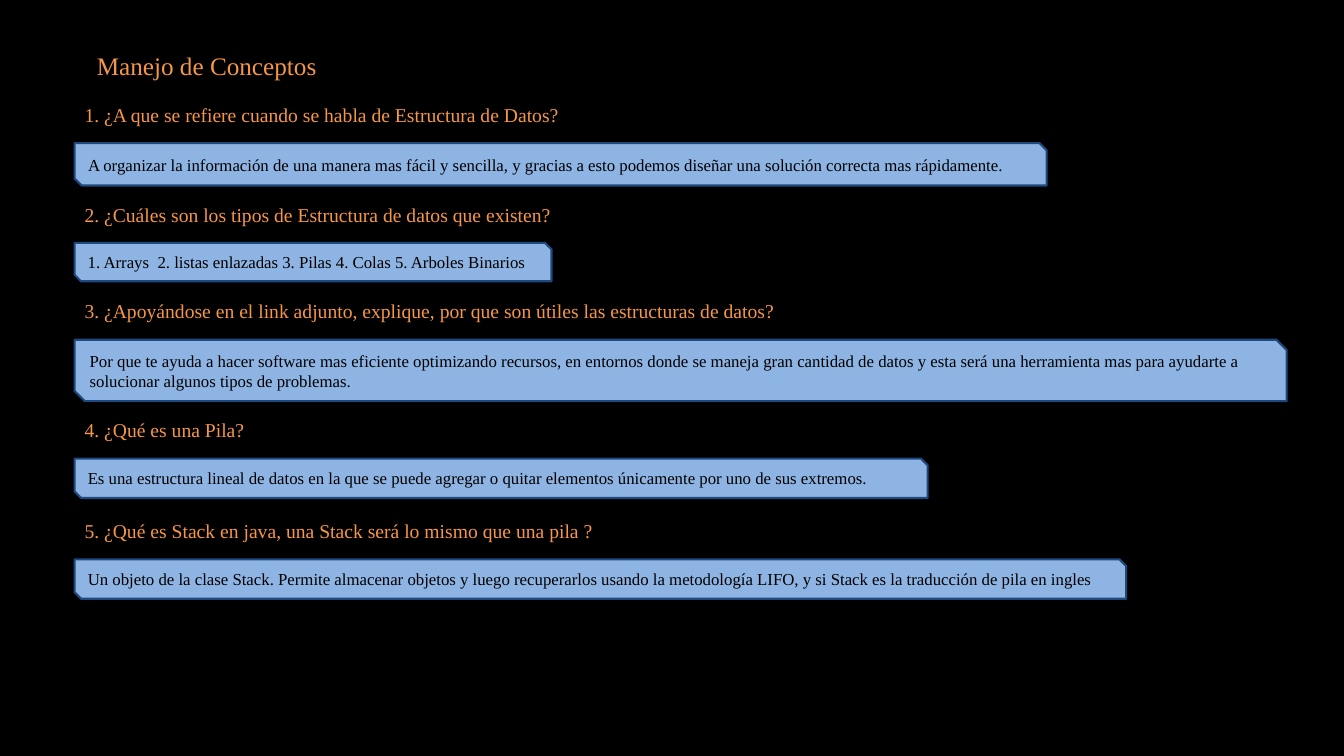
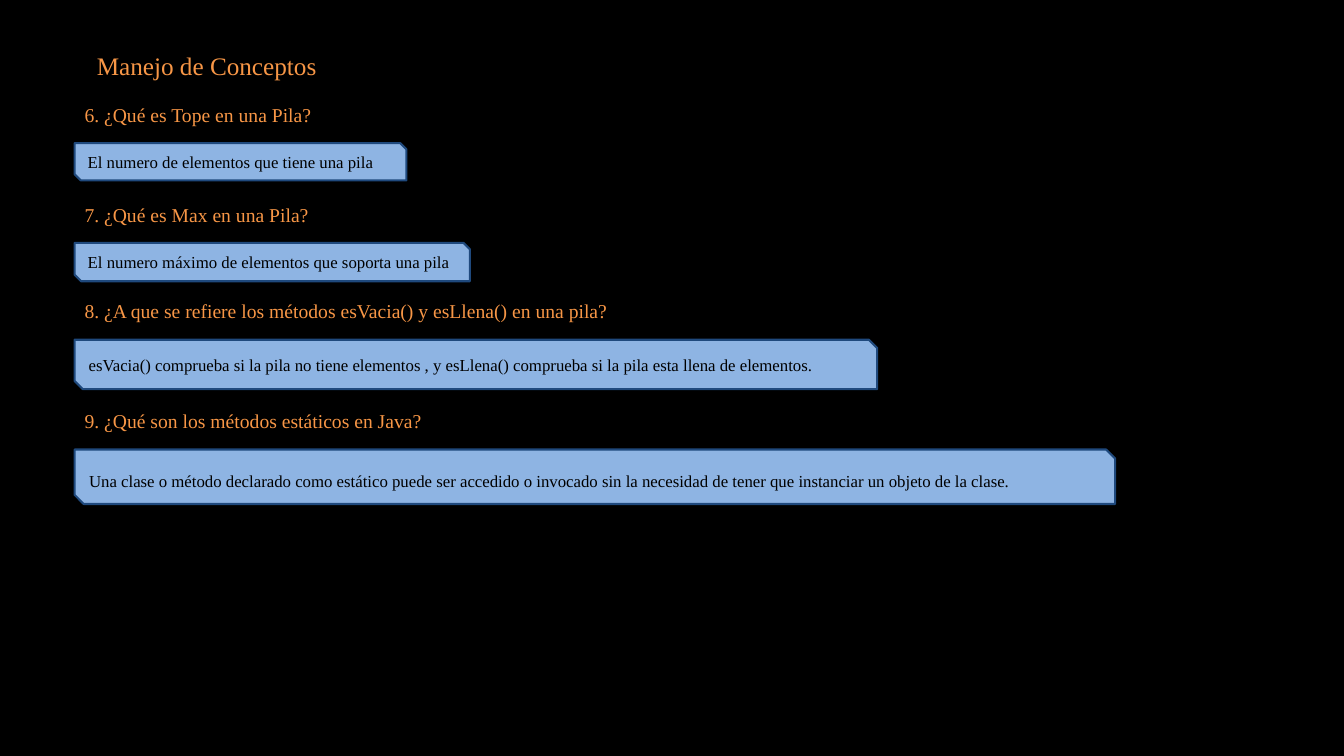
"""Build two slides of questions and answers about data structures."""
from pptx import Presentation
from pptx.dml.color import RGBColor
from pptx.enum import shapes, text
from pptx.util import Inches, Pt

BLACK = RGBColor(0x00, 0x00, 0x00)
ORANGE = RGBColor(0xF7, 0x96, 0x46)
LIGHT_BLUE = RGBColor(0x8E, 0xB4, 0xE3)
NAVY = RGBColor(0x1F, 0x49, 0x7D)
FONT = "Times New Roman"
TITLE = "Manejo de Conceptos"
LEFT = 0.74
QUESTION_HEIGHT = 0.35
ANSWER_OFFSET = 0.45
INSET = 0.05

# Each row: top, question width, question, answer width, answer height, answer, extra top inset
SLIDES = [
    [
        (0.97, 5.93, "1. ¿A que se refiere cuando se habla de Estructura de Datos?",
         9.64, 0.42, "A organizar la información de una manera mas fácil y sencilla, y gracias a esto "
         "podemos diseñar una solución correcta mas rápidamente.", 0),
        (1.96, 5.93, "2. ¿Cuáles son los tipos de Estructura de datos que existen?",
         4.73, 0.38, "1. Arrays  2. listas enlazadas 3. Pilas 4. Colas 5. Arboles Binarios", 0),
        (2.92, 7.64, "3. ¿Apoyándose en el link adjunto, explique, por que son útiles las "
         "estructuras de datos?",
         12.02, 0.61, "Por que te ayuda a hacer software mas eficiente optimizando recursos, en "
         "entornos donde se maneja gran cantidad de datos y esta será una herramienta mas para "
         "ayudarte a solucionar algunos tipos de problemas.", 0),
        (4.1, 2.39, "4. ¿Qué es una Pila?",
         8.46, 0.39, "Es una estructura lineal de datos en la que se puede agregar o quitar "
         "elementos únicamente por uno de sus extremos.", 0),
        (5.1, 5.84, "5. ¿Qué es Stack en java, una Stack será lo mismo que una pila ?",
         10.43, 0.39, "Un objeto de la clase Stack. Permite almacenar objetos y luego recuperarlos "
         "usando la metodología LIFO, y si Stack es la traducción de pila en ingles", 0),
    ],
    [
        (0.97, 5.93, "6. ¿Qué es Tope en una Pila?",
         3.29, 0.37, "El numero de elementos que tiene una pila", 0),
        (1.96, 5.93, "7. ¿Qué es Max en una Pila?",
         3.92, 0.38, "El numero máximo de elementos que soporta una pila", 0),
        (2.92, 7.64, "8. ¿A que se refiere los métodos esVacia() y esLlena() en una pila?",
         7.96, 0.49, "esVacia() comprueba si la pila no tiene elementos , y esLlena() comprueba si "
         "la pila esta llena de elementos.", 0),
        (4.01, 3.65, "9. ¿Qué son los métodos estáticos en Java?",
         10.32, 0.54, "Una clase o método declarado como estático puede ser accedido o invocado sin "
         "la necesidad de tener que instanciar un objeto de la clase.", 0.07),
    ],
]


def write(frame, wording, size, color, anchor):
    """Fill a text frame with one left-aligned paragraph."""
    frame.word_wrap = True
    frame.auto_size = text.MSO_AUTO_SIZE.NONE
    frame.vertical_anchor = anchor
    paragraph = frame.paragraphs[0]
    paragraph.text = wording
    paragraph.alignment = text.PP_ALIGN.LEFT
    paragraph.font.name = FONT
    paragraph.font.size = Pt(size)
    paragraph.font.color.rgb = color


def add_title(slide):
    """Place the shared heading in the title placeholder."""
    title = slide.shapes.title
    title.left, title.top = Inches(0.86), Inches(0.45)
    title.width, title.height = Inches(2.85), Inches(0.4)
    write(title.text_frame, TITLE, 18, ORANGE, text.MSO_ANCHOR.TOP)


def add_question(slide, top, width, wording):
    """Add an orange question line."""
    question = slide.shapes.add_textbox(
        Inches(LEFT), Inches(top), Inches(width), Inches(QUESTION_HEIGHT))
    write(question.text_frame, wording, 14, ORANGE, text.MSO_ANCHOR.TOP)


def add_answer(slide, top, width, height, wording, extra_inset):
    """Add a blue answer box with two snipped corners."""
    answer = slide.shapes.add_shape(
        shapes.MSO_SHAPE.SNIP_2_DIAG_RECTANGLE,
        Inches(LEFT), Inches(top), Inches(width), Inches(height))
    answer.shadow.inherit = False
    answer.fill.solid()
    answer.fill.fore_color.rgb = LIGHT_BLUE
    answer.line.color.rgb = NAVY
    answer.line.width = Pt(1.5)
    answer.text_frame.margin_top = Inches(INSET + extra_inset)
    write(answer.text_frame, wording, 12, BLACK, text.MSO_ANCHOR.MIDDLE)


def main():
    """Build and save the presentation."""
    deck = Presentation()
    deck.slide_width, deck.slide_height = Inches(13.33), Inches(7.5)
    backdrop = deck.slide_master.background.fill
    backdrop.solid()
    backdrop.fore_color.rgb = BLACK
    title_only = deck.slide_layouts[5]
    for rows in SLIDES:
        slide = deck.slides.add_slide(title_only)
        add_title(slide)
        for top, question_width, question, width, height, answer, extra_inset in rows:
            add_question(slide, top, question_width, question)
            add_answer(slide, top + ANSWER_OFFSET, width, height, answer, extra_inset)
    deck.save("out.pptx")


if __name__ == "__main__":
    main()
